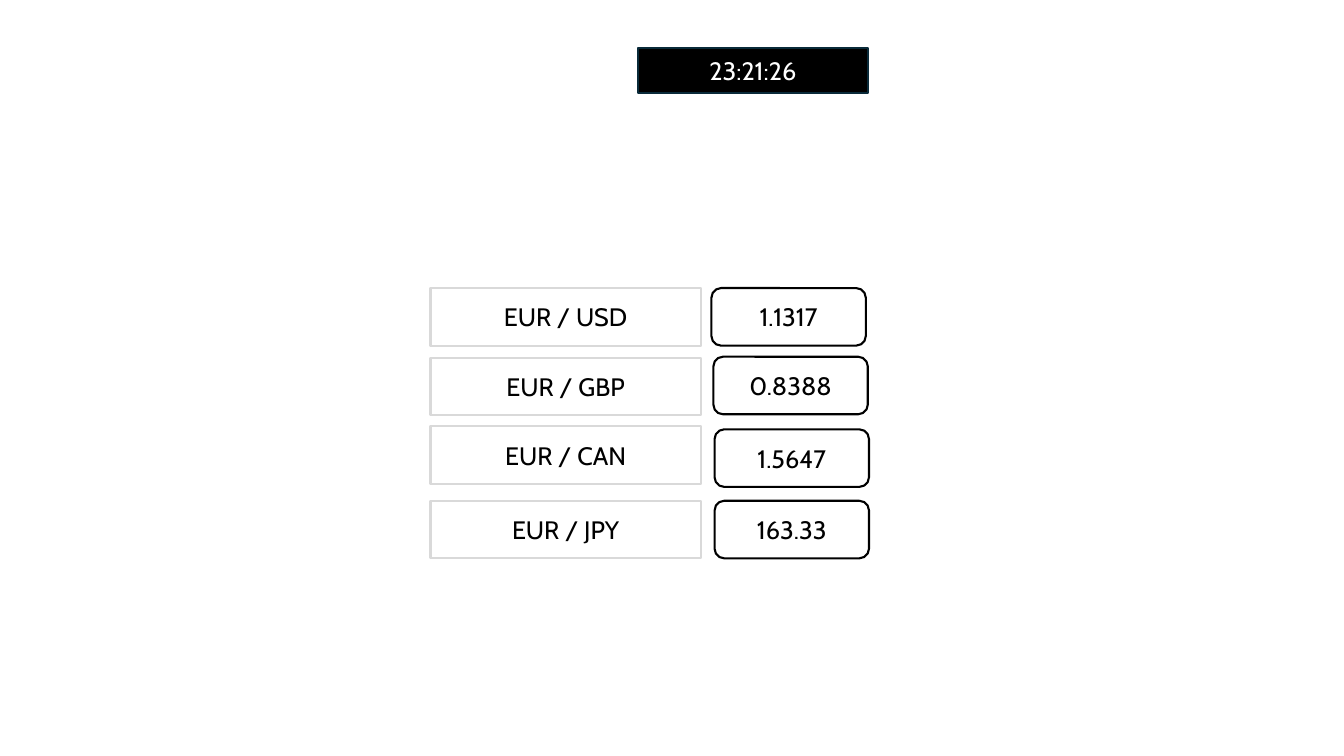
"""Build a slide with a clock and a board of euro exchange rates."""
from pptx import Presentation
from pptx import util as u
from pptx.dml.color import RGBColor
from pptx.enum import shapes, text

RECT = shapes.MSO_SHAPE.RECTANGLE
ROUNDED = shapes.MSO_SHAPE.ROUNDED_RECTANGLE
PAIR_LEFT, PAIR_WIDTH = 10.85, 6.81
RATE_WIDTH, ROW_HEIGHT = 3.89, 1.45
RATES = [
    ("EUR / USD", 7.26, "1.1317", 17.93, 7.26),
    ("EUR / GBP", 9.02, "0.8388", 17.98, 8.99),
    ("EUR / CAN", 10.74, "1.5647", 18.01, 10.82),
    ("EUR / JPY", 12.62, "163.33", 18.01, 12.62),
]


def colour(value):
    """Return the colour for a hex string."""
    return RGBColor.from_string(value)


def add_box(page, kind, place, words, line, fill="FFFFFF", ink="000000"):
    """Add an outlined shape with centred text at a place in centimetres."""
    box = page.shapes.add_shape(kind, *[u.Cm(length) for length in place])
    box.shadow.inherit = False
    box.fill.solid()
    box.fill.fore_color.rgb = colour(fill)
    box.line.color.rgb = colour(line)
    box.line.width = u.Pt(1.5)
    box.text_frame.vertical_anchor = text.MSO_ANCHOR.MIDDLE
    para = box.text_frame.paragraphs[0]
    para.text = words
    para.alignment = text.PP_ALIGN.CENTER
    para.font.name = "Cabin"
    para.font.size = u.Pt(18)
    para.font.color.rgb = colour(ink)


def main():
    """Build and save the deck."""
    deck = Presentation()
    deck.slide_width, deck.slide_height = u.Cm(33.87), u.Cm(19.05)
    page = deck.slides.add_slide(deck.slide_layouts[6])
    for pair, pair_top, rate, rate_left, rate_top in RATES:
        add_box(page, RECT, (PAIR_LEFT, pair_top, PAIR_WIDTH, ROW_HEIGHT), pair, "D9D9D9")
        add_box(page, ROUNDED, (rate_left, rate_top, RATE_WIDTH, ROW_HEIGHT), rate, "000000")
    add_box(page, RECT, (16.08, 1.22, 5.79, 1.12), "23:21:26", "092A39", "000000", "FFFFFF")
    deck.save("out.pptx")


if __name__ == "__main__":
    main()
